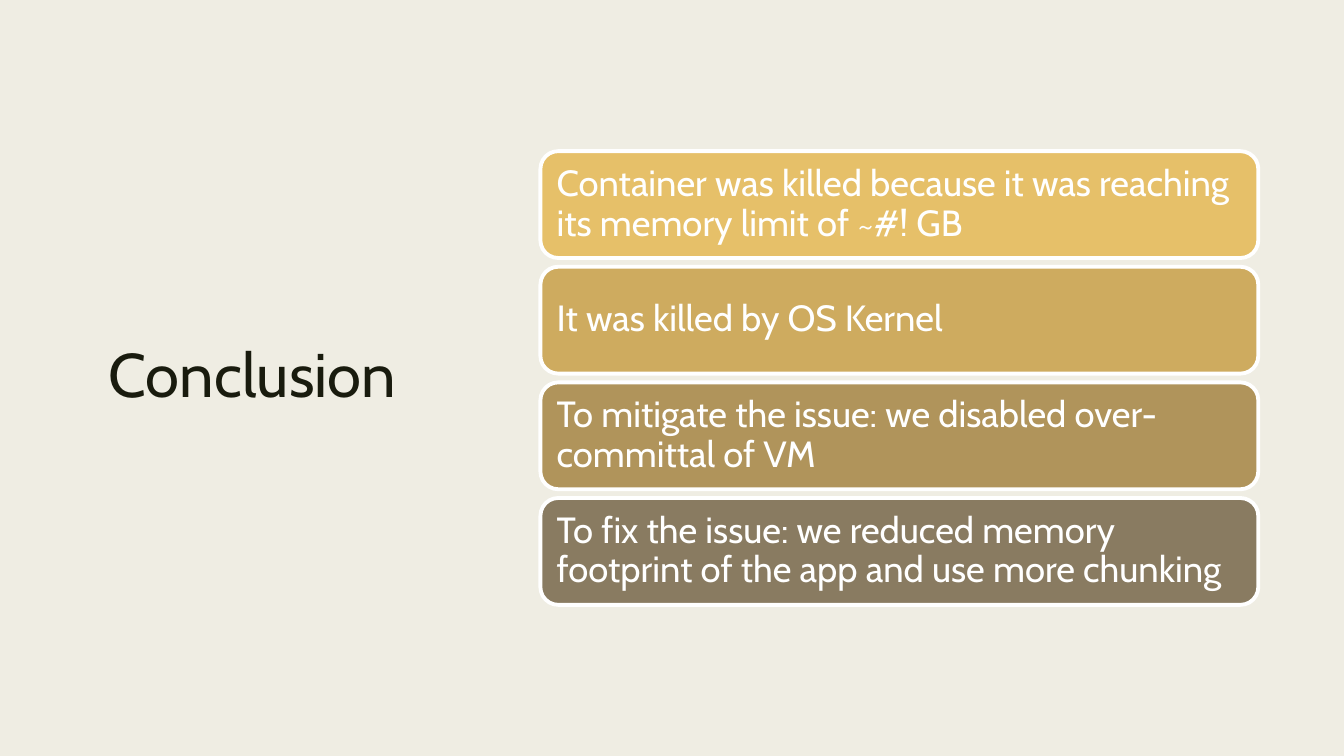
from pptx import Presentation, util as u
from pptx.dml.color import RGBColor
from pptx.enum import shapes, text

CREAM = RGBColor(0xEF, 0xED, 0xE3)
INK = RGBColor(0x19, 0x1B, 0x0E)
WHITE = RGBColor(0xFF, 0xFF, 0xFF)
GOLD = RGBColor(0xE6, 0xC0, 0x69)
OCHRE = RGBColor(0xCE, 0xAB, 0x5F)
TAN = RGBColor(0xB0, 0x94, 0x5B)
TAUPE = RGBColor(0x89, 0x7B, 0x61)

# Card grid: one column of equal rows, in inches
LEFT, TOP, WIDTH, HEIGHT, PITCH = 5.36, 1.5, 7.12, 1.06, 1.147
INSET = 0.11

CARDS = [
    ("Container was killed because it was reaching its memory limit of ~#! GB", GOLD),
    ("It was killed by OS Kernel", OCHRE),
    ("To mitigate the issue: we disabled over-committal of VM", TAN),
    ("To fix the issue: we reduced memory footprint of the app and use more chunking", TAUPE),
]


def write(s, words, size, color, align, spacing, inset):
    tf = s.text_frame
    frame = {"word_wrap": True, "vertical_anchor": text.MSO_ANCHOR.MIDDLE}
    for side in ("left", "right", "top", "bottom"):
        frame["margin_" + side] = u.Inches(inset)
    for name, value in frame.items():
        setattr(tf, name, value)
    p = tf.paragraphs[0]
    p.alignment, p.line_spacing = align, spacing
    r = p.add_run()
    r.text = words
    for name, value in {"name": "Cabin", "size": u.Pt(size)}.items():
        setattr(r.font, name, value)
    r.font.color.rgb = color


prs = Presentation()
prs.slide_width, prs.slide_height = u.Inches(13.33), u.Inches(7.5)
slide = prs.slides.add_slide(prs.slide_layouts[6])

# Background
slide.background.fill.solid()
slide.background.fill.fore_color.rgb = CREAM

# Title
s = slide.shapes.add_textbox(*map(u.Inches, (0.7, 0.7, 3.61, 6.1)))
write(s, "Conclusion", 44, INK, text.PP_ALIGN.CENTER, 0.89, 0.1)

# Cards
for row, (words, fill) in enumerate(CARDS):
    s = slide.shapes.add_shape(
        shapes.MSO_SHAPE.ROUNDED_RECTANGLE,
        *map(u.Inches, (LEFT, TOP + row * PITCH, WIDTH, HEIGHT)))
    s.shadow.inherit = False
    s.fill.solid()
    s.fill.fore_color.rgb = fill
    s.line.color.rgb = WHITE
    s.line.width = u.Pt(2.75)
    write(s, words, 26, WHITE, text.PP_ALIGN.LEFT, 0.9, INSET)

prs.save("out.pptx")
